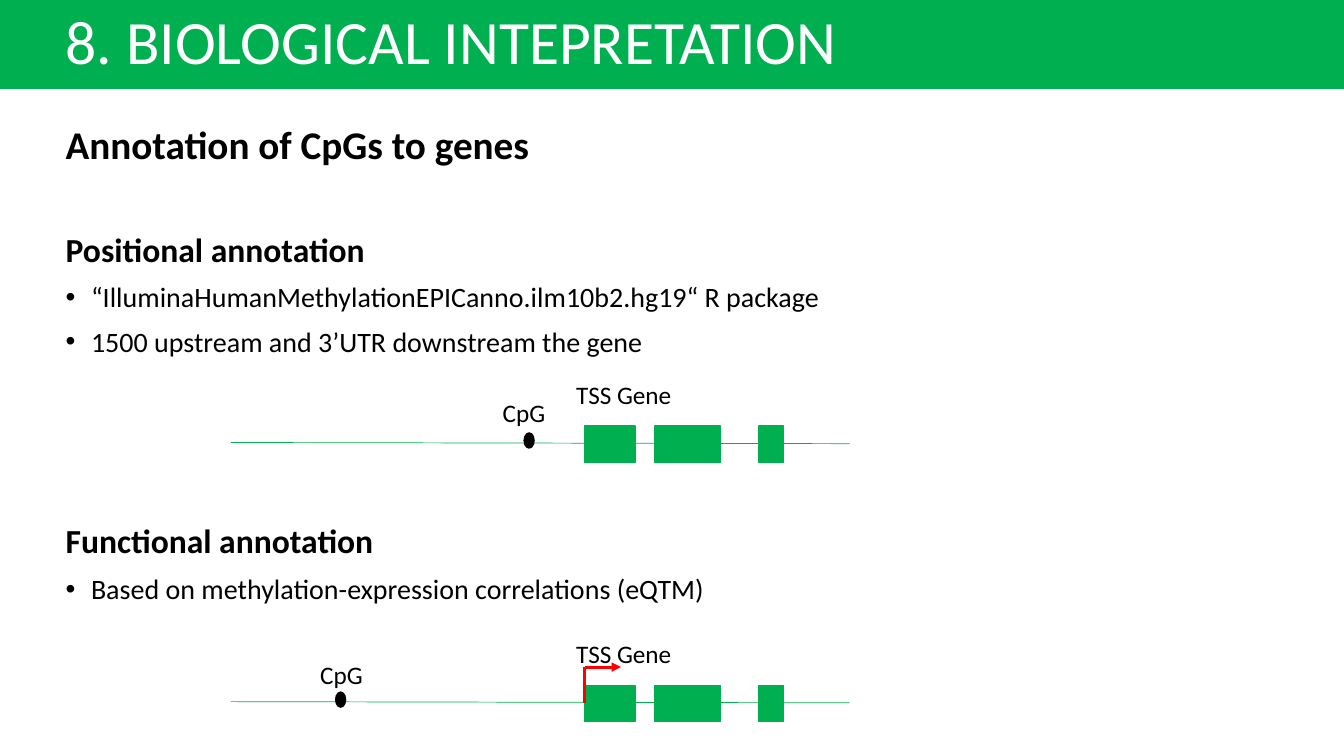
from lxml import etree
from pptx import Presentation
from pptx import util as u
from pptx.dml.color import RGBColor
from pptx.enum import shapes, text
from pptx.oxml import ns

GREEN, RED, BLACK, WHITE = "00B050", "FF0000", "000000", "FFFFFF"


def paint(color_format, hex_string):
    color_format.rgb = RGBColor.from_string(hex_string)


def add_line(group, points, color, width):
    line = group.shapes.add_connector(
        shapes.MSO_CONNECTOR.STRAIGHT, *[u.Cm(value) for value in points])
    paint(line.line.color, color)
    line.line.width = u.Pt(width)
    etree.SubElement(line._element.spPr, ns.qn("a:effectLst"))
    return line


presentation = Presentation()
presentation.slide_width = u.Cm(33.87)
presentation.slide_height = u.Cm(19.05)
slide = presentation.slides.add_slide(presentation.slide_layouts[1])
title, body = slide.placeholders

banner = slide.shapes.add_shape(
    shapes.MSO_SHAPE.RECTANGLE, 0, 0, presentation.slide_width, u.Cm(2.24))
banner.shadow.inherit = False
banner.line.fill.background()
title._element.addprevious(banner._element)
for shape in (banner, title):
    shape.fill.solid()
    paint(shape.fill.fore_color, GREEN)

for placeholder, top, height in ((title, 0, 2.24), (body, 3.05, 15.27)):
    frame = {"left": u.Cm(1.4), "top": u.Cm(top), "width": u.Cm(31.24), "height": u.Cm(height)}
    for name, value in frame.items():
        setattr(placeholder, name, value)
    placeholder.text_frame.auto_size = text.MSO_AUTO_SIZE.NONE

title.text_frame.vertical_anchor = text.MSO_ANCHOR.MIDDLE
body.text_frame.vertical_anchor = text.MSO_ANCHOR.TOP

title_lines = [("8. BIOLOGICAL INTEPRETATION", 44, False, 0, False)]
body_lines = [
    ("Annotation of CpGs to genes", 28, True, 0, False),
    ("Positional annotation", 24, True, 46.4, False),
    ("“IlluminaHumanMethylationEPICanno.ilm10b2.hg19“ R package", 20, False, 10, True),
    ("1500 upstream and 3’UTR downstream the gene", 20, False, 10, True),
    ("Functional annotation", 24, True, 119, False),
    ("Based on methylation-expression correlations (eQTM)", 20, False, 10, True),
]
for placeholder, lines, color in ((title, title_lines, WHITE), (body, body_lines, BLACK)):
    for index, (wording, size, bold, space, bulleted) in enumerate(lines):
        text_frame = placeholder.text_frame
        paragraph = text_frame.add_paragraph() if index else text_frame.paragraphs[0]
        properties = paragraph._p.get_or_add_pPr()
        indent = u.Cm(0.64) if bulleted else 0
        properties.set("marL", str(indent))
        properties.set("indent", str(-indent))
        if bulleted:
            etree.SubElement(properties, ns.qn("a:buFont"), typeface="Arial")
            etree.SubElement(properties, ns.qn("a:buChar"), char="•")
        else:
            etree.SubElement(properties, ns.qn("a:buNone"))
        layout = {"alignment": text.PP_ALIGN.LEFT, "line_spacing": 0.9,
                  "space_before": u.Pt(space), "space_after": u.Pt(0)}
        for name, value in layout.items():
            setattr(paragraph, name, value)
        run = paragraph.add_run()
        run.text = wording
        for name, value in {"name": "Calibri", "size": u.Pt(size), "bold": bold}.items():
            setattr(run.font, name, value)
        paint(run.font.color, color)

exons = [(14.73, 1.27), (16.51, 1.65), (19.13, 0.61)]
diagrams = [
    {"top": 17.27, "cpg": 8.46, "cpg_label": 7.82, "label_rise": 0.79, "promoter": True},
    {"top": 10.74, "cpg": 13.21, "cpg_label": 12.42, "label_rise": 0.86, "promoter": False},
]
for diagram in diagrams:
    top = diagram["top"]
    group = slide.shapes.add_group_shape()
    add_line(group, (5.82, top + 0.41, 21.41, top + 0.44), GREEN, 0.5)

    parts = [(shapes.MSO_SHAPE.RECTANGLE, left, top, width, 0.91, GREEN)
             for left, width in exons]
    parts.append((shapes.MSO_SHAPE.OVAL, diagram["cpg"], top + 0.17, 0.25, 0.38, BLACK))
    drawn = []
    for kind, left, part_top, width, height, color in parts:
        shape = group.shapes.add_shape(
            kind, u.Cm(left), u.Cm(part_top), u.Cm(width), u.Cm(height))
        shape.shadow.inherit = False
        shape.fill.solid()
        paint(shape.fill.fore_color, color)
        paint(shape.line.color, color)
        shape.line.width = u.Pt(1)
        drawn.append(shape)

    if diagram["promoter"]:
        start, turn = exons[0][0], top - 0.46
        arrow = add_line(group, (start, turn, start + 0.92, turn), RED, 2.25)
        etree.SubElement(arrow.line._get_or_add_ln(), ns.qn("a:tailEnd"), type="triangle")
        stem = add_line(group, (start, top + 0.46, start, turn), RED, 2.25)
        stem.begin_connect(drawn[0], 1)

    labels = [("TSS Gene", 14.27, top - 1.3, 3.18),
              ("CpG", diagram["cpg_label"], top - diagram["label_rise"], 1.75)]
    for wording, left, label_top, width in labels:
        label = group.shapes.add_textbox(
            u.Cm(left), u.Cm(label_top), u.Cm(width), u.Cm(1.02))
        label.text_frame.word_wrap = False
        label.text_frame.auto_size = text.MSO_AUTO_SIZE.SHAPE_TO_FIT_TEXT
        run = label.text_frame.paragraphs[0].add_run()
        run.text = wording
        for name, value in {"name": "Calibri", "size": u.Pt(18)}.items():
            setattr(run.font, name, value)
        paint(run.font.color, BLACK)

presentation.save("out.pptx")
